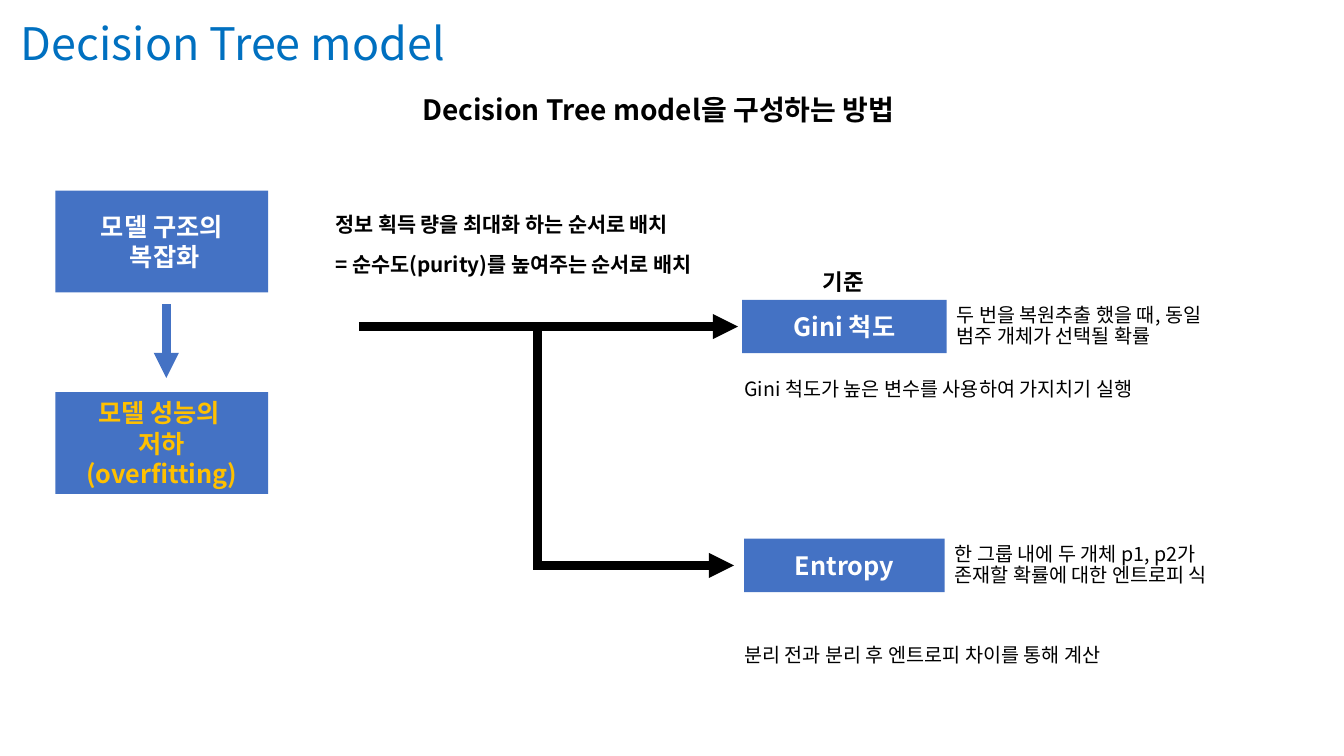
from lxml import etree
from pptx import Presentation
from pptx.dml.color import RGBColor
from pptx.enum import shapes, text
from pptx.oxml import ns
from pptx.util import Inches, Pt

FONT = "Noto Sans CJK KR"
COLORS = {
    "blue": "4472C4",
    "heading": "0070C0",
    "gold": "FFC000",
    "white": "FFFFFF",
    "black": "000000",
}


def rgb(name):
    return RGBColor.from_string(COLORS[name])


def add_lines(frame, lines, size, color="black", bold=False, font=FONT,
              align=text.PP_ALIGN.LEFT, spacing=None, gap=0):
    """Write one paragraph per line, with gap points between them."""
    frame.word_wrap = True
    frame.vertical_anchor = text.MSO_ANCHOR.MIDDLE
    for index, line in enumerate(lines):
        para = frame.add_paragraph() if index else frame.paragraphs[0]
        para.alignment = align
        if spacing:
            para.line_spacing = spacing
        if index and gap:
            para.space_before = Pt(gap)
        span = para.add_run()
        span.text = line
        span.font.size = Pt(size)
        span.font.bold = bold
        span.font.color.rgb = rgb(color)
        span.font.name = font
        east_asian = etree.SubElement(span.font._element, ns.qn("a:ea"))
        east_asian.set("typeface", FONT)


def add_label(page, left, top, width, height, lines, size=14, spacing=0.9, **style):
    box = page.shapes.add_textbox(Inches(left), Inches(top), Inches(width), Inches(height))
    add_lines(box.text_frame, lines, size, spacing=spacing, **style)


def add_block(page, left, top, width, height, lines, color="white"):
    block = page.shapes.add_shape(shapes.MSO_SHAPE.RECTANGLE, Inches(left), Inches(top),
                                  Inches(width), Inches(height))
    block.shadow.inherit = False
    block.fill.solid()
    block.fill.fore_color.rgb = rgb("blue")
    block.line.fill.background()
    add_lines(block.text_frame, lines, 18, color, bold=True, align=text.PP_ALIGN.CENTER)


def add_line(page, start, end, color="black", arrow=True):
    line = page.shapes.add_connector(shapes.MSO_CONNECTOR.STRAIGHT,
                                     *map(Inches, start + end))
    line.line.color.rgb = rgb(color)
    line.line.width = Pt(6)
    if arrow:
        etree.SubElement(line.line._get_or_add_ln(), ns.qn("a:tailEnd"), type="triangle")
    etree.SubElement(line._element.spPr, ns.qn("a:effectLst"))


def add_headings(page, left, top):
    add_label(page, left, top, 6.78, 0.63, ["Decision Tree model"], 32, color="heading")
    add_label(page, left + 3.98, top + 0.65, 5.15, 0.63,
              ["Decision Tree model을 구성하는 방법"], 20, bold=True)


def add_overfitting(page, left, top):
    """Two stacked blocks: complex structure leads to poor performance."""
    width, height, step = 2.11, 1.01, 2
    middle = left + 1.1
    add_block(page, left, top, width, height, ["모델 구조의", " 복잡화"])
    add_block(page, left, top + step, width, height,
              ["모델 성능의 ", "저하", "(overfitting)"], "gold")
    add_line(page, (middle, top + 1.13), (middle, top + 1.86), "blue")


def add_branches(page, left, upper, lower):
    """Trunk line that forks to the two criteria at heights upper and lower."""
    fork = left + 1.77
    add_line(page, (left, upper), (left + 3.76, upper))
    add_line(page, (fork - 0.04, lower), (left + 3.72, lower))
    add_line(page, (fork, upper), (fork, lower), arrow=False)
    add_label(page, left - 0.33, upper - 1.23, 4.25, 0.86,
              ["정보 획득 량을 최대화 하는 순서로 배치",
               "= 순수도(purity)를 높여주는 순서로 배치"], 14.8, bold=True, gap=13)


def add_criterion(page, center, middle, width, name, meaning, meaning_width, usage, usage_drop):
    """Named block with its meaning on the right and its usage below."""
    left, height, label_height = center - width / 2, 0.53, 0.77
    add_block(page, left, middle - height / 2, width, height, [name])
    add_label(page, left + width, middle - label_height / 2, meaning_width, label_height,
              [meaning])
    add_label(page, center - 1.09, middle + usage_drop, 4.69, label_height, [usage])


def main():
    deck = Presentation()
    deck.slide_width, deck.slide_height = Inches(13.33), Inches(7.5)
    page = deck.slides.add_slide(deck.slide_layouts[6])
    center, upper, lower = 8.375, 3.24, 5.61

    add_headings(page, 0.11, 0.14)
    add_overfitting(page, 0.55, 1.89)
    add_branches(page, 3.56, upper, lower)
    add_label(page, 8.06, upper - 0.59, 0.85, 0.33, ["기준"], 16,
              spacing=0.8, bold=True, font="Arial")
    add_criterion(page, center, upper, 2.03, "Gini 척도",
                  "두 번을 복원추출 했을 때, 동일 범주 개체가 선택될 확률", 2.89,
                  "Gini 척도가 높은 변수를 사용하여 가지치기 실행", 0.25)
    add_criterion(page, center, lower, 1.99, "Entropy",
                  "한 그룹 내에 두 개체 p1, p2가 존재할 확률에 대한 엔트로피 식", 3.13,
                  "분리 전과 분리 후 엔트로피 차이를 통해 계산", 0.51)
    deck.save("out.pptx")


if __name__ == "__main__":
    main()
